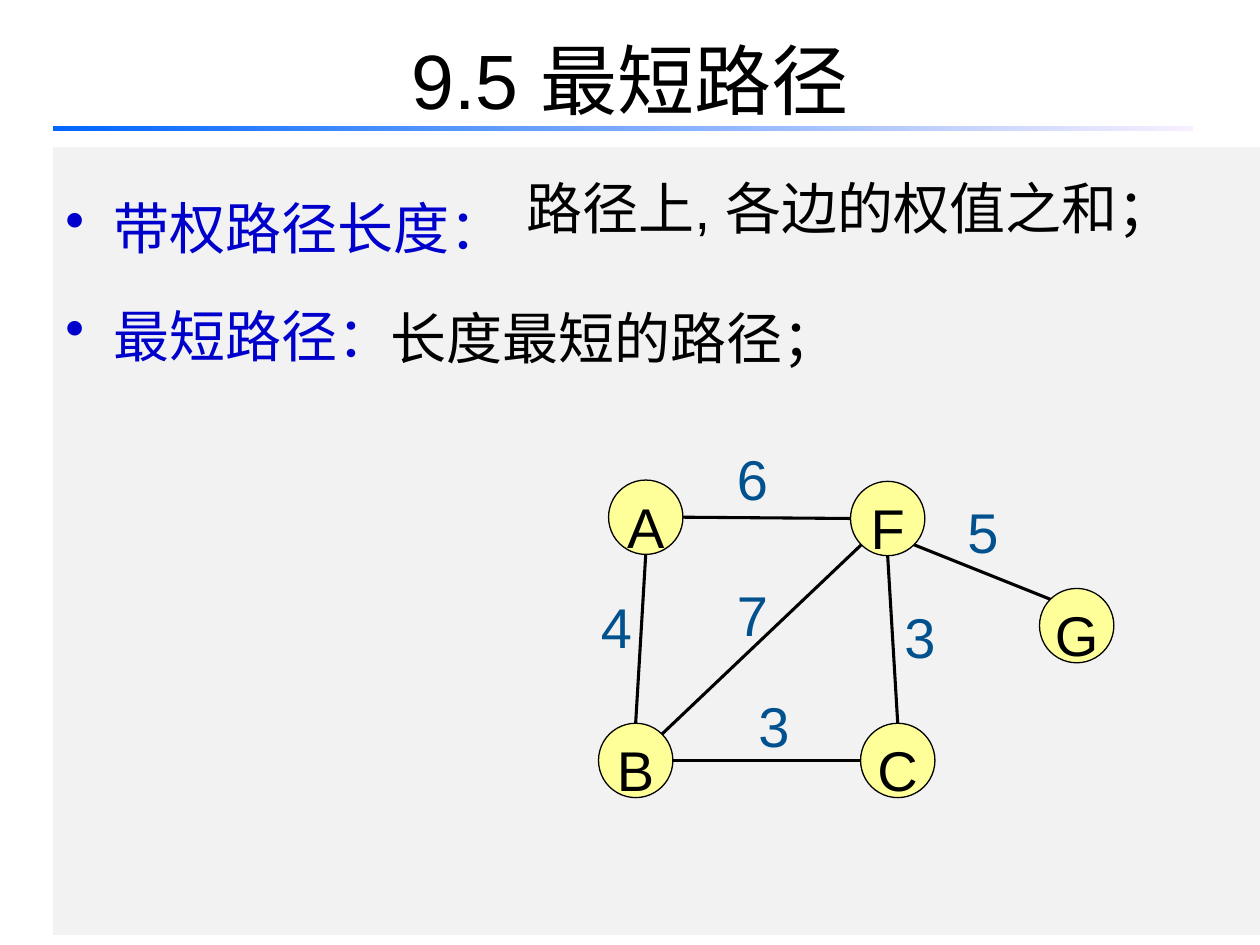
from math import cos, radians, sin

from lxml.etree import SubElement
from pptx import Presentation
from pptx.dml.color import RGBColor
from pptx.enum.shapes import MSO_CONNECTOR, MSO_SHAPE
from pptx.enum.text import MSO_ANCHOR, PP_ALIGN
from pptx.oxml.ns import qn
from pptx.util import Inches, Pt

COLORS = {
    "panel": "F2F2F2", "term": "0000CC", "ink": "000000", "node": "FFFF99",
    "weight": "00518E", "rule_start": "0066FF", "rule_end": "F7EFFF",
}
LATIN, CHINESE = "Arial", "Noto Sans CJK SC"
NODE_SIZE = 0.59
# Node: left, top within the graph's box
NODES = {"A": (0.16, 0.33), "F": (2.08, 0.34), "B": (0.08, 2.26),
         "C": (2.16, 2.26), "G": (3.58, 1.19)}
# Start node, angle on its rim, end node, angle on its rim (clockwise from right)
EDGES = [("F", 90, "C", 270), ("F", 180, "A", 0), ("B", 270, "A", 90),
         ("C", 180, "B", 0), ("F", 135, "B", 315), ("F", 45, "G", 225)]
# Weight, then left, top, width, height within the graph's box
WEIGHTS = [("4", 0, 1.17, 0.58, 0.77), ("6", 1.08, 0, 0.75, 0.77),
           ("5", 2.91, 0.42, 0.75, 0.77), ("7", 1.08, 1.08, 0.75, 0.71),
           ("3", 1.25, 1.96, 0.75, 0.71), ("3", 2.41, 1.25, 0.75, 0.71)]


def rgb(key):
    return RGBColor.from_string(COLORS[key])


def add_run(paragraph, text, color="ink", size=32, font=LATIN):
    run = paragraph.add_run()
    run.text = text
    run.font.size = Pt(size)
    run.font.name = font
    run.font.color.rgb = rgb(color)


def add_preset(slide, preset, left, top, width, height, fill=None):
    shape = slide.shapes.add_shape(
        preset, Inches(left), Inches(top), Inches(width), Inches(height))
    shape.shadow.inherit = False
    shape.line.fill.background()
    if fill:
        shape.fill.solid()
        shape.fill.fore_color.rgb = rgb(fill)
    return shape


def add_label(slide, left, top, width, height):
    """Add an empty wrapping text box and return its text frame."""
    frame = slide.shapes.add_textbox(
        Inches(left), Inches(top), Inches(width), Inches(height)).text_frame
    frame.word_wrap = True
    return frame


def set_hanging(paragraph, bullet=None):
    properties = paragraph._p.get_or_add_pPr()
    properties.set("marL", str(Inches(0.38)))
    properties.set("indent", str(-Inches(0.38)))
    if bullet:
        SubElement(properties, qn("a:buChar")).set("char", bullet)
    paragraph.alignment = PP_ALIGN.JUSTIFY
    paragraph.line_spacing = 1.6


def add_title(slide, left, top, width, height):
    frame = add_label(slide, left, top, width, height)
    frame.vertical_anchor = MSO_ANCHOR.MIDDLE
    heading = frame.paragraphs[0]
    heading.alignment = PP_ALIGN.CENTER
    add_run(heading, "9.5 ", size=44)
    add_run(heading, "最短路径", size=44, font=CHINESE)

    rule = add_preset(slide, MSO_SHAPE.RECTANGLE, left - 0.08, top + 1, 9.05, 0.04)
    rule.fill.gradient()
    rule.fill.gradient_angle = 0
    for stop, color, position in zip(
            rule.fill.gradient_stops, ("rule_start", "rule_end"), (0, 1)):
        stop.color.rgb = rgb(color)
        stop.position = position


def add_definitions(slide, left, top, width, height):
    panel = add_preset(slide, MSO_SHAPE.RECTANGLE, left, top, width, height, "panel")
    frame = panel.text_frame
    frame.vertical_anchor = MSO_ANCHOR.TOP
    for index, term in enumerate(("带权路径长度：", "最短路径：")):
        paragraph = frame.add_paragraph() if index else frame.paragraphs[0]
        set_hanging(paragraph, "•")
        add_run(paragraph, term, "term")

    path_length = add_label(slide, left + 3.66, top + 0.16, 5.75, 0.77)
    add_run(path_length.paragraphs[0], "路径上, 各边的权值之和；")
    shortest_path = add_label(slide, left + 2.58, top + 0.87, 4.58, 0.96)
    set_hanging(shortest_path.paragraphs[0])
    add_run(shortest_path.paragraphs[0], "长度最短的路径；")


def add_node(slide, name, left, top):
    node = add_preset(slide, MSO_SHAPE.OVAL, left, top, NODE_SIZE, NODE_SIZE, "node")
    node.line.color.rgb = rgb("ink")
    node.line.width = Pt(0.75)
    frame = node.text_frame
    frame.word_wrap = False
    frame.vertical_anchor = MSO_ANCHOR.MIDDLE
    paragraph = frame.paragraphs[0]
    paragraph.alignment = PP_ALIGN.CENTER
    paragraph.line_spacing = 1.25
    add_run(paragraph, name)


def add_graph(slide, left, top):
    def rim(name, angle):
        x, y = NODES[name]
        radius = NODE_SIZE / 2
        return (Inches(left + x + radius + radius * cos(radians(angle))),
                Inches(top + y + radius + radius * sin(radians(angle))))

    for name, (x, y) in NODES.items():
        add_node(slide, name, left + x, top + y)
    for start, start_angle, end, end_angle in EDGES:
        edge = slide.shapes.add_connector(
            MSO_CONNECTOR.STRAIGHT, *rim(start, start_angle), *rim(end, end_angle))
        edge.line.color.rgb = rgb("ink")
        edge.line.width = Pt(1.75)
        SubElement(edge._element.spPr, qn("a:effectLst"))
    for weight, x, y, width, height in WEIGHTS:
        frame = add_label(slide, left + x, top + y, width, height)
        add_run(frame.paragraphs[0], weight, "weight")


def main():
    presentation = Presentation()
    presentation.slide_width, presentation.slide_height = Inches(10), Inches(7.5)
    slide = presentation.slides.add_slide(presentation.slide_layouts[6])
    add_definitions(slide, 0.42, 1.17, 9.58, 6.25)
    add_title(slide, 0.5, 0, 9, 1.25)
    add_graph(slide, 4.67, 3.48)
    presentation.save("out.pptx")


if __name__ == "__main__":
    main()
